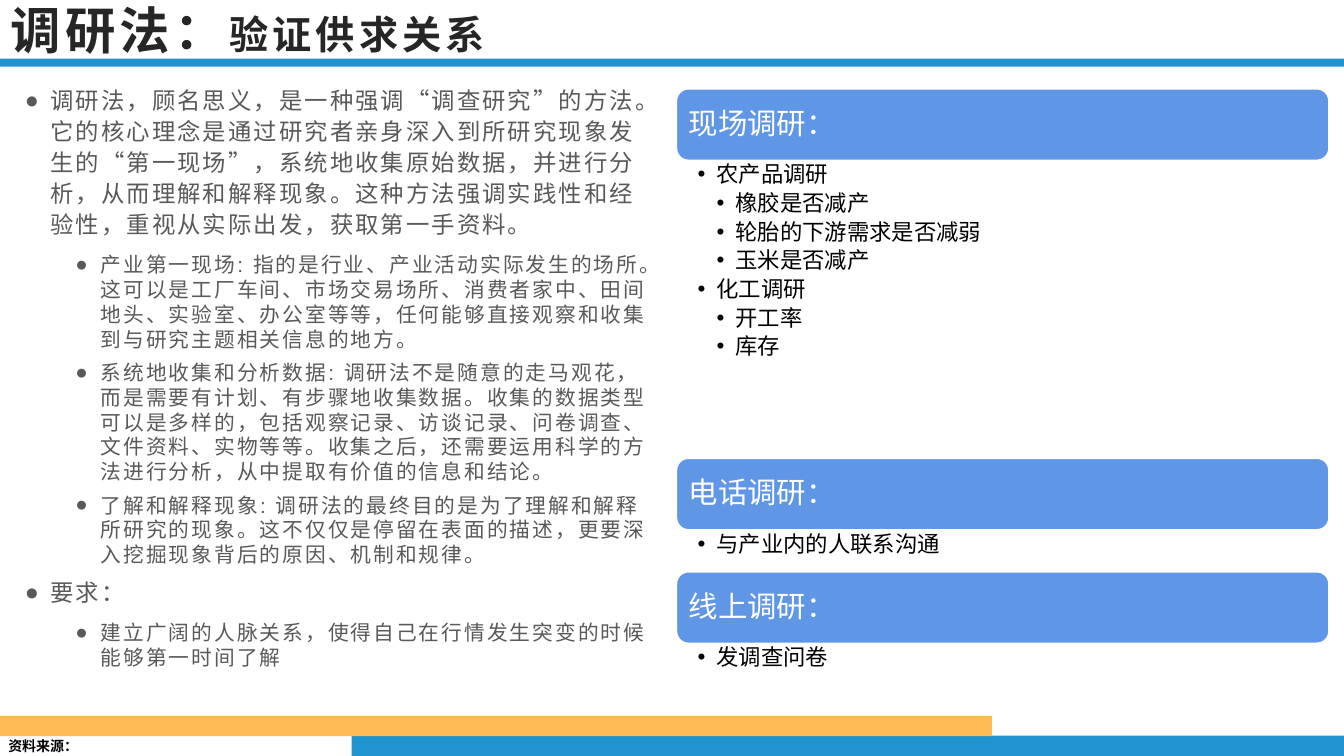
"""Build the slide on the survey research method."""
from pptx import Presentation
from pptx.dml.color import RGBColor
from pptx.enum.shapes import MSO_SHAPE
from pptx.enum.text import MSO_ANCHOR, PP_ALIGN
from pptx.oxml.ns import qn
from pptx.util import Cm, Pt
from lxml import etree

RECTANGLE, ROUNDED = MSO_SHAPE.RECTANGLE, MSO_SHAPE.ROUNDED_RECTANGLE
TOP, MIDDLE, LEFT = MSO_ANCHOR.TOP, MSO_ANCHOR.MIDDLE, PP_ALIGN.LEFT

BLUE = RGBColor(0x20, 0x94, 0xCE)
ORANGE = RGBColor(0xFF, 0xBA, 0x55)
PERIWINKLE = RGBColor(0x60, 0x96, 0xE6)
WHITE = RGBColor(0xFF, 0xFF, 0xFF)
BLACK = RGBColor(0x00, 0x00, 0x00)
CHARCOAL = RGBColor(0x26, 0x26, 0x26)
GREY = RGBColor(0x59, 0x59, 0x59)

CJK_FONT, LATIN_FONT = "Noto Sans CJK SC", "Arial"
DEFAULT_INSETS = (0.25, 0.13, 0.25, 0.13)
DETAIL_INSETS = (0.53, 0.08, 0.41, 0.08)

BODY_STYLES = [
    dict(size=16.7, line_spacing=1.1, space_after=10, margin=0.64),
    dict(size=14.8, line_spacing=1.0, space_after=6, margin=1.91),
]
BODY = [
    (0, "调研法，顾名思义，是一种强调“调查研究”的方法。它的核心理念是通过研究者亲身深入到所研究现象发生的“第一现场”，"
        "系统地收集原始数据，并进行分析，从而理解和解释现象。这种方法强调实践性和经验性，重视从实际出发，获取第一手资料。"),
    (1, "产业第一现场: 指的是行业、产业活动实际发生的场所。这可以是工厂车间、市场交易场所、消费者家中、田间地头、"
        "实验室、办公室等等，任何能够直接观察和收集到与研究主题相关信息的地方。"),
    (1, "系统地收集和分析数据: 调研法不是随意的走马观花，而是需要有计划、有步骤地收集数据。收集的数据类型可以是多样的，"
        "包括观察记录、访谈记录、问卷调查、文件资料、实物等等。收集之后，还需要运用科学的方法进行分析，"
        "从中提取有价值的信息和结论。"),
    (1, "了解和解释现象: 调研法的最终目的是为了理解和解释所研究的现象。这不仅仅是停留在表面的描述，"
        "更要深入挖掘现象背后的原因、机制和规律。"),
    (0, "要求："),
    (1, "建立广阔的人脉关系，使得自己在行情发生突变的时候能够第一时间了解"),
]
SECTIONS = [
    (2.24, 7.49, "现场调研：", [
        (1, "农产品调研"), (2, "橡胶是否减产"), (2, "轮胎的下游需求是否减弱"), (2, "玉米是否减产"),
        (1, "化工调研"), (2, "开工率"), (2, "库存")]),
    (11.55, 1.07, "电话调研：", [(1, "与产业内的人联系沟通")]),
    (14.41, 1.07, "线上调研：", [(1, "发调查问卷")]),
]


class SlideBuilder:
    """Hold the current slide and draw its elements, with lengths in centimetres."""

    def __init__(self, slide):
        self.slide = slide

    def block(self, kind, left, top, width, height, fill, line=None):
        """Draw a filled shape and return it."""
        shape = self.slide.shapes.add_shape(kind, Cm(left), Cm(top), Cm(width), Cm(height))
        shape.shadow.inherit = False
        shape.fill.solid()
        shape.fill.fore_color.rgb = fill
        if line is None:
            shape.line.fill.background()
        else:
            shape.line.color.rgb = line
            shape.line.width = Pt(1)
        return shape

    def frame(self, shape, anchor=TOP, insets=DEFAULT_INSETS):
        """Set wrapping, anchor and insets, and return the text frame."""
        frame = shape.text_frame
        frame.word_wrap = True
        frame.vertical_anchor = anchor
        frame.margin_left, frame.margin_top, frame.margin_right, frame.margin_bottom = map(Cm, insets)
        return frame

    def text_box(self, left, top, width, height, **options):
        """Add a text box and return its text frame."""
        shape = self.slide.shapes.add_textbox(Cm(left), Cm(top), Cm(width), Cm(height))
        return self.frame(shape, **options)

    def style(self, paragraph, color, size=None, font=LATIN_FONT, bold=False, tracking=0,
              line_spacing=1.0, space_after=0):
        """Set the paragraph layout and font."""
        paragraph.alignment = LEFT
        paragraph.line_spacing = line_spacing
        paragraph.space_after = Pt(space_after)
        paragraph.font.name = font
        paragraph.font.bold = bold
        paragraph.font.color.rgb = color
        if size:
            paragraph.font.size = Pt(size)
        properties = paragraph._p.pPr.find(qn("a:defRPr"))
        properties.set("spc", str(int(tracking * 100)))
        etree.SubElement(properties, qn("a:ea")).set("typeface", CJK_FONT)

    def bullets(self, frame, items, mark, styles, indent, **common):
        """Fill a frame with bulleted paragraphs styled by level."""
        for index, (level, text) in enumerate(items):
            paragraph = frame.paragraphs[0] if index == 0 else frame.add_paragraph()
            paragraph.text = text
            paragraph.level = level
            options = dict(styles[level])
            properties = paragraph._p.get_or_add_pPr()
            properties.set("marL", str(Cm(options.pop("margin"))))
            properties.set("indent", str(-Cm(indent)))
            etree.SubElement(properties, qn("a:buFont")).set("typeface", LATIN_FONT)
            etree.SubElement(properties, qn("a:buChar")).set("char", mark)
            self.style(paragraph, **options, **common)

    def title(self, parts):
        """Write the title from parts of different sizes."""
        paragraph = self.text_box(0.02, 0, 29.06, 1.47, anchor=MIDDLE).paragraphs[0]
        for text, size in parts:
            run = paragraph.add_run()
            run.text = text
            run.font.size = Pt(size)
        self.style(paragraph, CHARCOAL, font=CJK_FONT, bold=True, tracking=3)

    def section(self, top, detail_height, heading, items):
        """Draw a heading block with its bulleted details below."""
        left, width, heading_height = 17.05, 16.44, 1.8
        shape = self.block(ROUNDED, left, top, width, heading_height, PERIWINKLE, WHITE)
        paragraph = self.frame(shape, MIDDLE, (0.22, 0.23, 0.22, 0.23)).paragraphs[0]
        paragraph.text = heading
        self.style(paragraph, WHITE, 21, line_spacing=0.9)
        frame = self.text_box(left, top + heading_height, width, detail_height,
                              insets=DETAIL_INSETS)
        styles = {level: dict(margin=0.48 * level) for level in (1, 2)}
        self.bullets(frame, items, "•", styles, 0.48, color=BLACK, size=16,
                     line_spacing=0.9, space_after=3.2)


def main():
    """Build and save the presentation."""
    presentation = Presentation()
    presentation.slide_width, presentation.slide_height = Cm(33.87), Cm(19.05)
    builder = SlideBuilder(presentation.slides.add_slide(presentation.slide_layouts[6]))

    builder.block(RECTANGLE, 8.86, 18.54, 25.01, 0.51, BLUE)
    builder.block(RECTANGLE, 0, 18.04, 25, 0.51, ORANGE)
    builder.block(RECTANGLE, 0, 1.48, 33.87, 0.2, BLUE)

    source = builder.text_box(-0.04, 18.46, 2.01, 0.69).paragraphs[0]
    source.text = "资料来源："
    builder.style(source, BLACK, 10, font=CJK_FONT, bold=True)

    builder.title([("调研法：", 36), ("验证供求关系", 28)])
    body = builder.text_box(0.38, 1.98, 16.43, 15.57)
    builder.bullets(body, BODY, "●", BODY_STYLES, 0.64, color=GREY, tracking=1.5)
    for section in SECTIONS:
        builder.section(*section)

    presentation.save("out.pptx")


if __name__ == "__main__":
    main()
